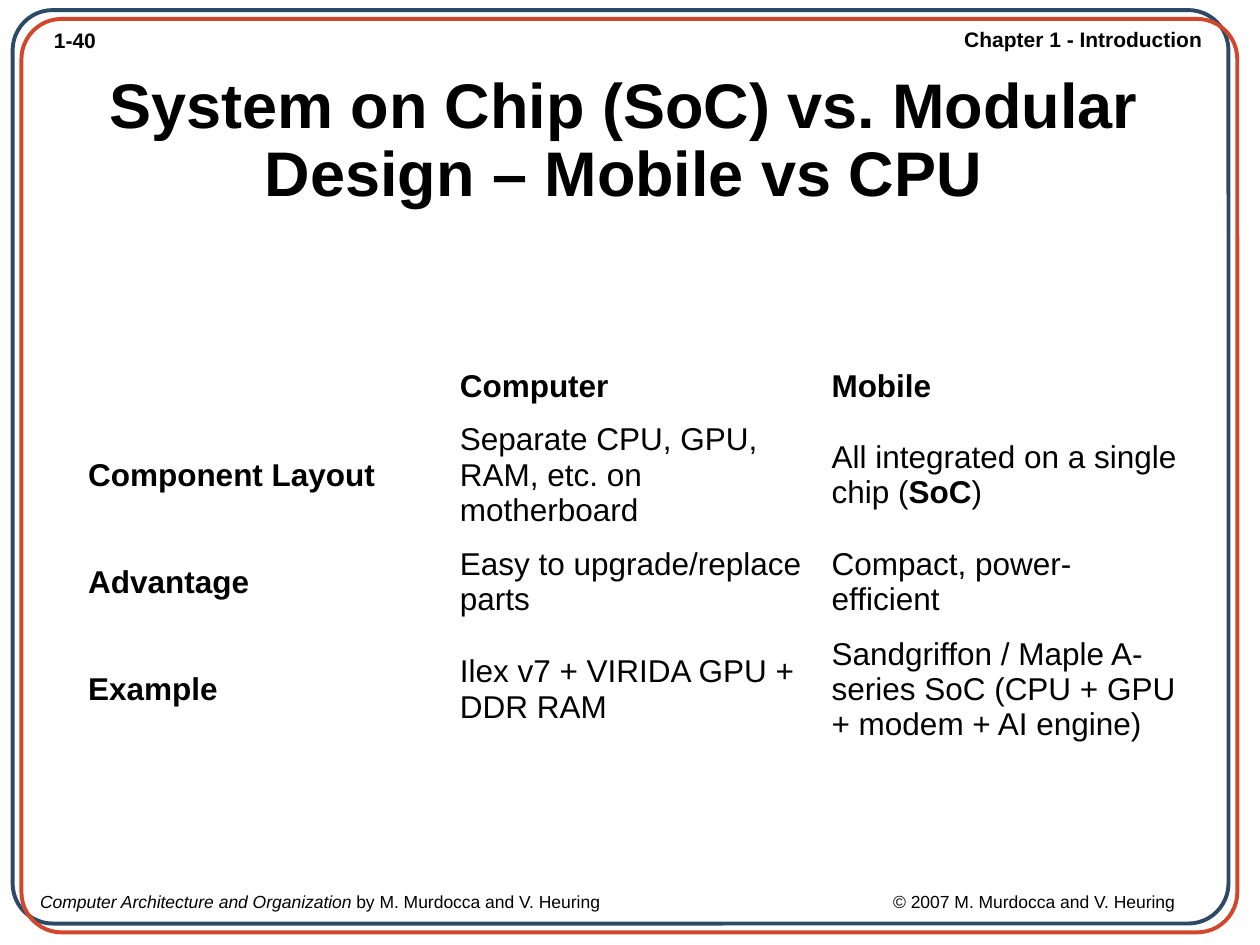
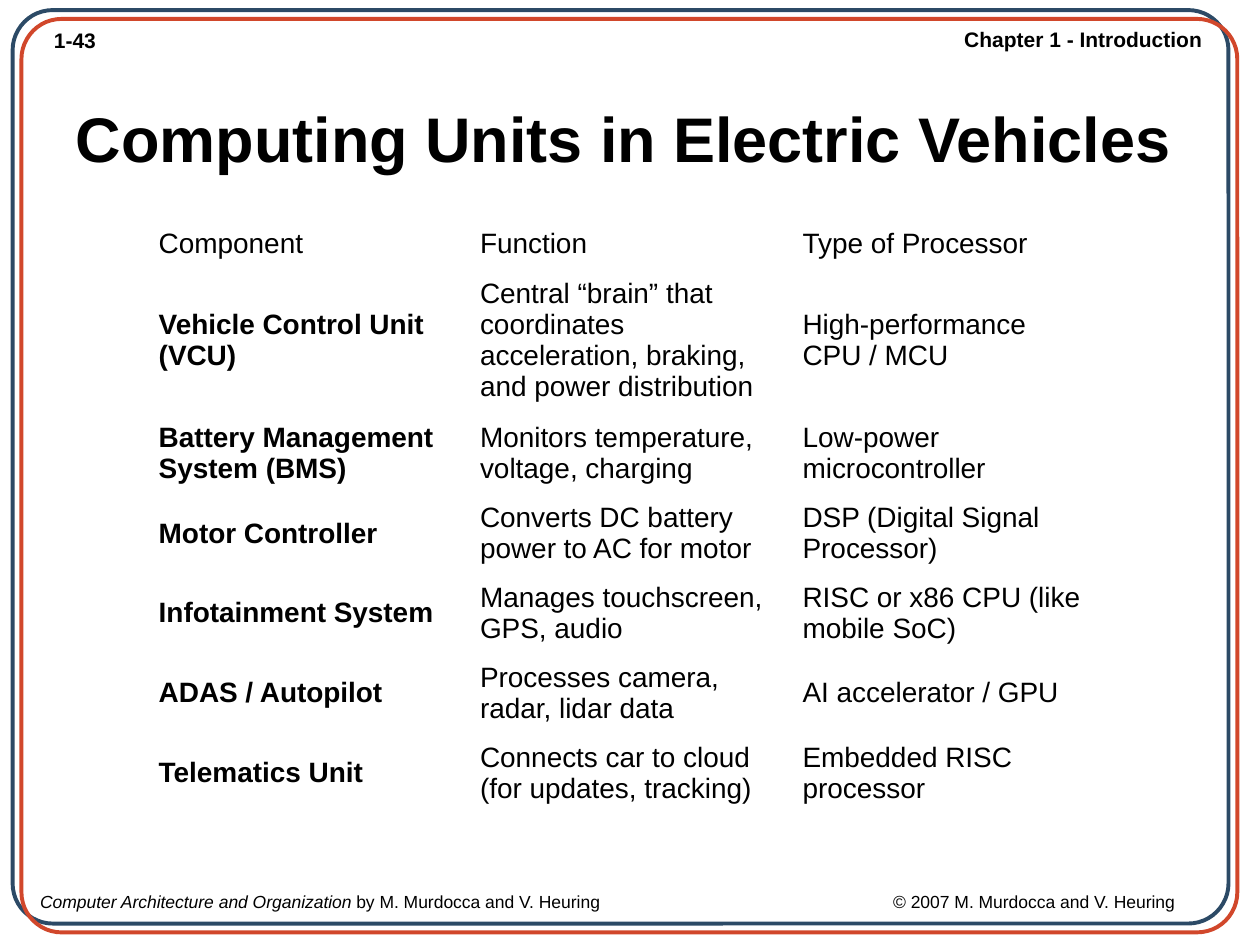
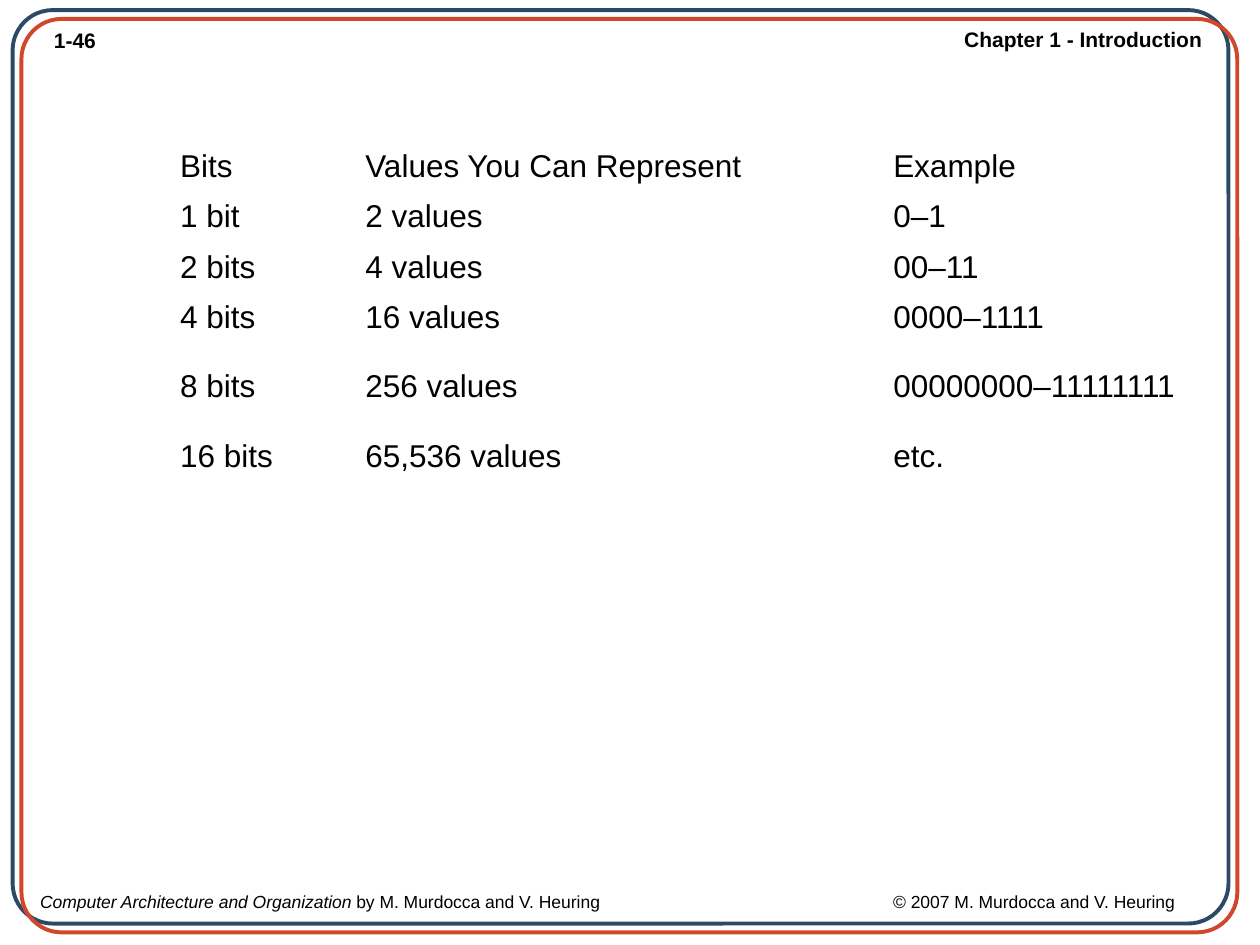
from dataclasses import dataclass

from lxml import etree
from pptx import Presentation
from pptx.dml.color import RGBColor
from pptx.enum.shapes import MSO_SHAPE
from pptx.enum.text import MSO_ANCHOR, PP_ALIGN
from pptx.oxml.ns import qn
from pptx.util import Inches, Pt

ROUND = MSO_SHAPE.ROUNDED_RECTANGLE
TOP, MIDDLE = MSO_ANCHOR.TOP, MSO_ANCHOR.MIDDLE
LEFT, CENTER, RIGHT = PP_ALIGN.LEFT, PP_ALIGN.CENTER, PP_ALIGN.RIGHT


@dataclass(frozen=True)
class Theme:
    """Colours, font and type sizes of the deck."""
    font: str = "Arial"
    ink: str = "000000"
    navy: str = "2C4A66"
    red: str = "D1472B"
    title: int = 36
    body: int = 18
    small: int = 16
    head: int = 12
    foot: int = 10
    line: float = 2.25


THEME = Theme()
PAGE = (0, 0, 10, 7.5)
TITLE = (0.25, 0.5, 9.4, 1.25)

DESIGN = [
    ["", "Computer", "Mobile"],
    ["Component Layout", "Separate CPU, GPU, RAM, etc. on motherboard",
     [("All integrated on a single chip (", {}), ("SoC", {"bold": True}), (")", {})]],
    ["Advantage", "Easy to upgrade/replace parts", "Compact, power-efficient"],
    ["Example", "Ilex v7 + VIRIDA GPU + DDR RAM",
     "Sandgriffon / Maple A-series SoC (CPU + GPU + modem + AI engine)"],
]
UNITS = [
    ["Component", "Function", "Type of Processor"],
    ["Vehicle Control Unit (VCU)",
     "Central “brain” that coordinates acceleration, braking, and power distribution",
     "High-performance CPU / MCU"],
    ["Battery Management System (BMS)", "Monitors temperature, voltage, charging",
     "Low-power microcontroller"],
    ["Motor Controller", "Converts DC battery power to AC for motor",
     "DSP (Digital Signal Processor)"],
    ["Infotainment System", "Manages touchscreen, GPS, audio",
     "RISC or x86 CPU (like mobile SoC)"],
    ["ADAS / Autopilot", "Processes camera, radar, lidar data", "AI accelerator / GPU"],
    ["Telematics Unit", "Connects car to cloud (for updates, tracking)",
     "Embedded RISC processor"],
]
BITS = [
    ["Bits", "Values You Can Represent", "Example"],
    ["1 bit", "2 values", "0–1"],
    ["2 bits", "4 values", "00–11"],
    ["4 bits", "16 values", "0000–1111"],
    ["8 bits", "256 values", "00000000–11111111"],
    ["16 bits", "65,536 values", "etc."],
]


def write(frame, text, size=THEME.body, bold=False, italic=False,
          align=LEFT, space=None, tab=None):
    """Fill a text frame with one paragraph of plain or mixed runs."""
    para = frame.paragraphs[0]
    para.alignment = align
    if space:
        para.line_spacing = space
    if tab:
        stops = etree.SubElement(para._p.get_or_add_pPr(), qn("a:tabLst"))
        etree.SubElement(stops, qn("a:tab"), pos=str(Inches(tab)), algn="l")
    for part, style in [(text, {})] if isinstance(text, str) else text:
        run = para.add_run()
        run.text = part
        font = run.font
        font.name, font.size = THEME.font, Pt(size)
        font.bold = style.get("bold", bold)
        font.italic = style.get("italic", italic)
        font.color.rgb = RGBColor.from_string(THEME.ink)


def label(slide, box, text, wrap=True, anchor=TOP, **form):
    """Add a text box."""
    frame = slide.shapes.add_textbox(*map(Inches, box)).text_frame
    frame.word_wrap = wrap
    frame.vertical_anchor = anchor
    write(frame, text, **form)


def border(slide, box):
    """Draw the two offset rounded outlines inside the page box."""
    left, top, width, height = box
    for shift, color in ((0, THEME.navy), (0.07, THEME.red)):
        place = (left + 0.1 + shift, top + 0.08 + shift, width - 0.35, height - 0.25)
        shape = slide.shapes.add_shape(ROUND, *map(Inches, place))
        shape.shadow.inherit = False
        shape.adjustments[0] = 0.044
        shape.fill.background()
        shape.line.color.rgb = RGBColor.from_string(color)
        shape.line.width = Pt(THEME.line)


def header(slide, box, number):
    """Put the page number and chapter along the top of the page box."""
    left, top, width, _ = box
    label(slide, (left + 0.33, top + 0.17, 0.56, 0.3), number,
          size=THEME.head, bold=True)
    label(slide, (left + width - 2.45, top + 0.16, 2.09, 0.3),
          "Chapter 1 - Introduction", wrap=False, size=THEME.head, bold=True, align=RIGHT)


def footer(slide, box):
    """Put the book and copyright along the foot of the page box."""
    left, top, width, height = box
    credit = [("Computer Architecture and Organization ", {"italic": True}),
              ("by M. Murdocca and V. Heuring\t© 2007 M. Murdocca and V. Heuring", {})]
    label(slide, (left + 0.22, top + height - 0.48, width - 0.22, 0.26), credit,
          size=THEME.foot, tab=6.77)


def grid(slide, spot, cols, rows, data, size=THEME.body, pad=0.1,
         top=False, side=False):
    """Add a plain table, with bold top row or side column on request."""
    box = (*spot, sum(cols), sum(rows))
    table = slide.shapes.add_table(len(rows), len(cols), *map(Inches, box)).table
    table.first_row = table.horz_banding = False
    for col, width in zip(table.columns, cols):
        col.width = Inches(width)
    for r, (row, height) in enumerate(zip(data, rows)):
        table.rows[r].height = Inches(height)
        for c, text in enumerate(row):
            cell = table.cell(r, c)
            cell.fill.background()
            cell.vertical_anchor = MIDDLE
            cell.margin_left = cell.margin_right = Inches(pad)
            if text:
                strong = (top and r == 0) or (side and r > 0 and c == 0)
                write(cell.text_frame, text, size=size, bold=strong)


def page(deck, number, title=None):
    """Add a slide with its border, header, footer and title."""
    slide = deck.slides.add_slide(deck.slide_layouts[6])
    header(slide, PAGE, number)
    footer(slide, PAGE)
    border(slide, PAGE)
    if title:
        label(slide, TITLE, title, anchor=MIDDLE, size=THEME.title, bold=True,
              align=CENTER, space=0.9)
    return slide


def main():
    """Build and save the deck."""
    deck = Presentation()
    deck.slide_width, deck.slide_height = map(Inches, PAGE[2:])

    slide = page(deck, "1-40", "System on Chip (SoC) vs. Modular Design – Mobile vs CPU")
    grid(slide, (0.6, 2.87), [2.95] * 3, [0.4, 1, 0.7, 1], DESIGN, top=True, side=True)

    slide = page(deck, "1-43", "Computing Units in Electric Vehicles")
    grid(slide, (1.17, 1.75), [2.55, 2.56, 2.55], [0.35, 1.15] + [0.62] * 5, UNITS,
         size=THEME.small, pad=0.09, side=True)

    slide = page(deck, "1-46")
    grid(slide, (1.33, 1.12), [1.47, 4.19, 2.5], [0.4] * 4 + [0.7, 0.4], BITS)

    deck.save("out.pptx")


if __name__ == "__main__":
    main()
